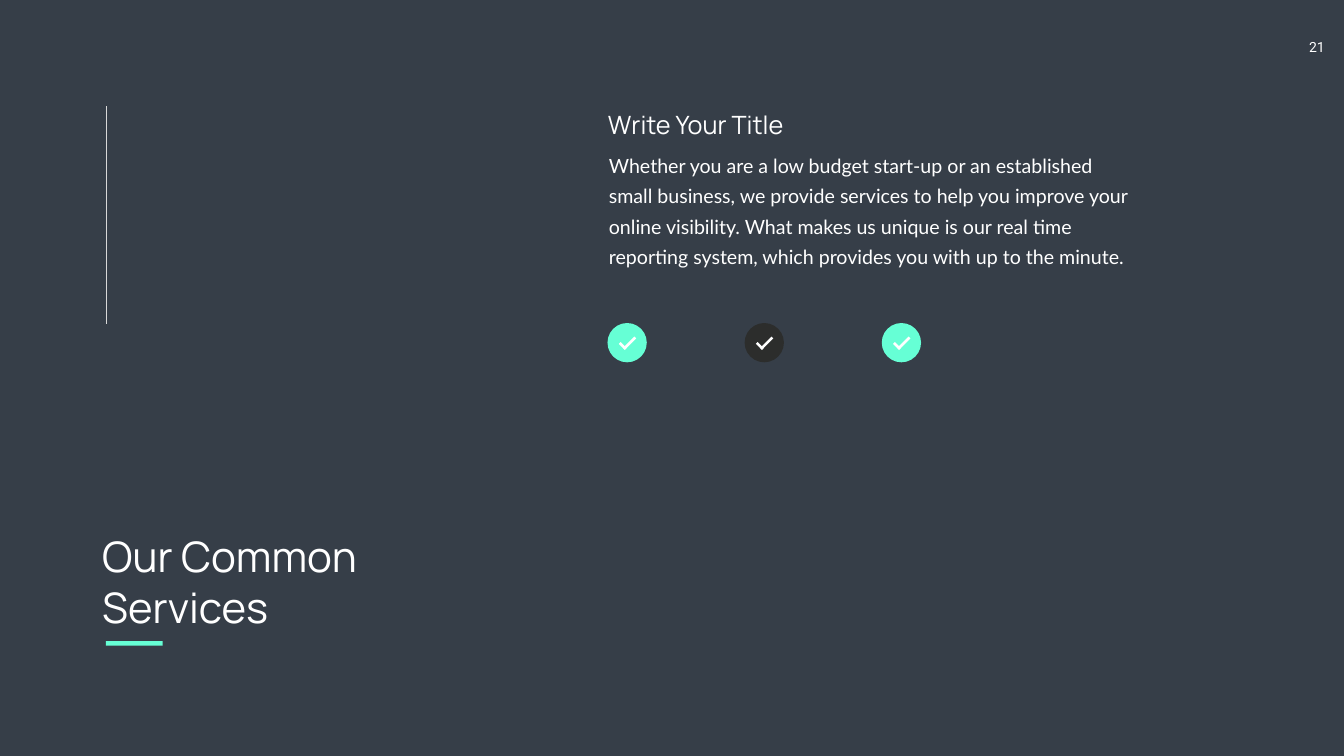
"""Build the dark "Our Common Services" slide."""
from lxml.etree import SubElement
from pptx import Presentation
from pptx.dml.color import RGBColor as RGB
from pptx.enum.shapes import MSO_CONNECTOR as LINK, MSO_SHAPE as SHAPE
from pptx.enum.text import MSO_ANCHOR as ANCHOR, MSO_AUTO_SIZE as FIT, PP_ALIGN as ALIGN
from pptx.oxml.ns import qn
from pptx.util import Cm, Pt

HUES = {"back": "363E48", "mint": "66FFD5", "dark": "2C2D2C",
        "white": "FFFFFF", "rule": "D9D9D9"}


def add_form(kind, left, top, width, height, hue, turn=0):
    """Add a plain filled shape, in centimetres."""
    form = slide.shapes.add_shape(kind, Cm(left), Cm(top), Cm(width), Cm(height))
    form.shadow.inherit = False
    form.fill.solid()
    form.fill.fore_color.rgb = RGB.from_string(HUES[hue])
    form.line.fill.background()
    form.rotation = turn


def set_text(box, place, text, font, size, align=ALIGN.LEFT, inset=(0.25, 0.13)):
    """Place a text shape, fill it and return its paragraph."""
    box.left, box.top, box.width, box.height = [Cm(n) for n in place]
    frame = box.text_frame
    frame.text = text
    frame.word_wrap = True
    frame.auto_size = FIT.NONE
    frame.vertical_anchor = ANCHOR.TOP
    frame.margin_left = frame.margin_right = Cm(inset[0])
    frame.margin_top = frame.margin_bottom = Cm(inset[1])
    para = frame.paragraphs[0]
    para.alignment = align
    run = para.runs[0]
    run.font.name = font
    run.font.size = Pt(size)
    run.font.color.rgb = RGB.from_string(HUES["white"])
    return para


deck = Presentation()
deck.slide_width, deck.slide_height = Cm(67.72), Cm(38.1)
slide = deck.slides.add_slide(deck.slide_layouts[1])
slide.background.fill.solid()
slide.background.fill.fore_color.rgb = RGB.from_string(HUES["back"])

page = slide.shapes.add_textbox(0, 0, 0, 0)
set_text(page, (65.07, 1.7, 2.57, 1.37), "21", "Roboto", 20, ALIGN.CENTER, (0.5, 0.25))

set_text(slide.shapes.title, (4.9, 26.62, 16.23, 5.38), "Our Common Services", "Manrope", 60)
add_form(SHAPE.RECTANGLE, 5.33, 32.31, 2.87, 0.23, "mint")

body = set_text(
    slide.placeholders[1], (30.07, 7.14, 27.58, 6.58),
    "Whether you are a low budget start-up or an established small business, "
    "we provide services to help you improve your online visibility. "
    "What makes us unique is our real time reporting system, "
    "which provides you with up to the minute.",
    "Lato", 28, inset=(0.61, 0.3))
body.line_spacing = Pt(43)
body.space_before = Pt(5.6)
props = body._p.get_or_add_pPr()
props.set("marL", "0")
props.set("indent", "0")
SubElement(props, qn("a:buNone"))

head = slide.shapes.add_textbox(0, 0, 0, 0)
set_text(head, (30.38, 5.36, 10.08, 1.8), "Write Your Title", "Manrope", 36)

for step, hue in enumerate(["mint", "dark", "mint"]):
    left, top = 30.61 + 6.91 * step, 16.28
    add_form(SHAPE.OVAL, left, top, 1.98, 1.98, hue)
    add_form(SHAPE.RECTANGLE, left + 0.55, top + 1.09, 0.43, 0.13, "white", 45)
    add_form(SHAPE.RECTANGLE, left + 0.71, top + 0.95, 0.81, 0.13, "white", 315)

rule = slide.shapes.add_connector(LINK.STRAIGHT, Cm(5.33), Cm(5.36), Cm(5.33), Cm(16.31))
rule.line.color.rgb = RGB.from_string(HUES["rule"])
rule.line.width = Pt(0.5)
SubElement(rule._element.spPr, qn("a:effectLst"))

deck.save("out.pptx")
